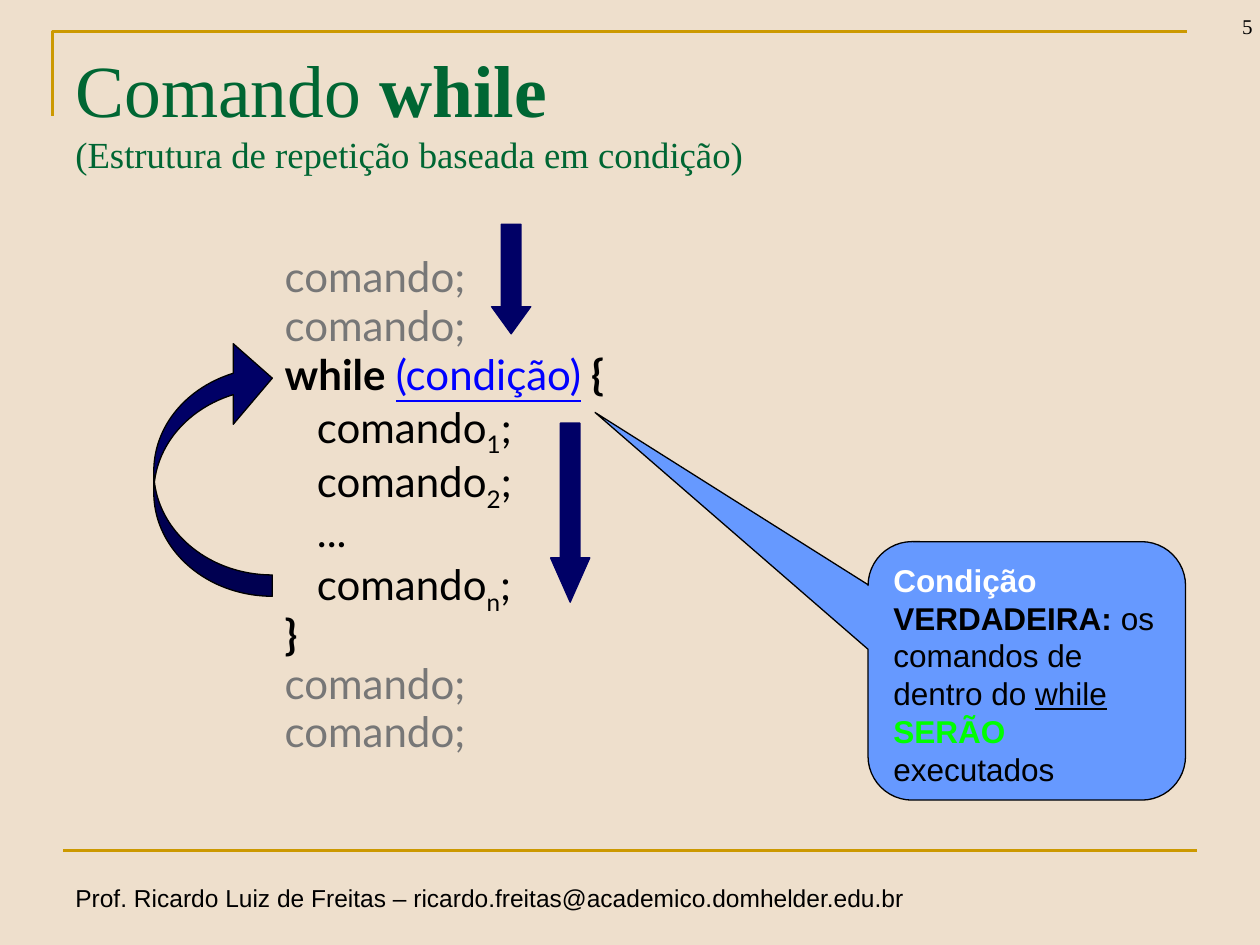
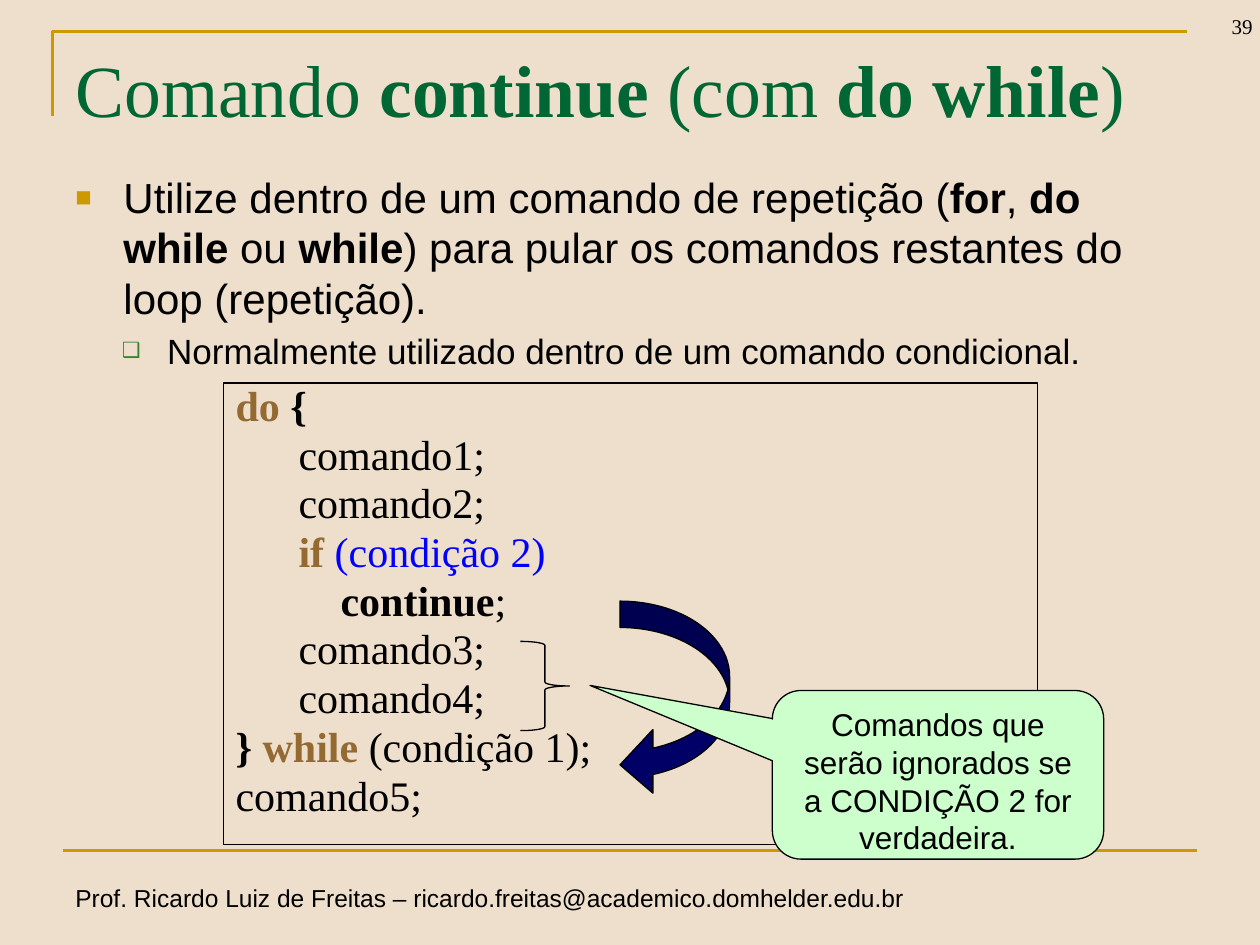
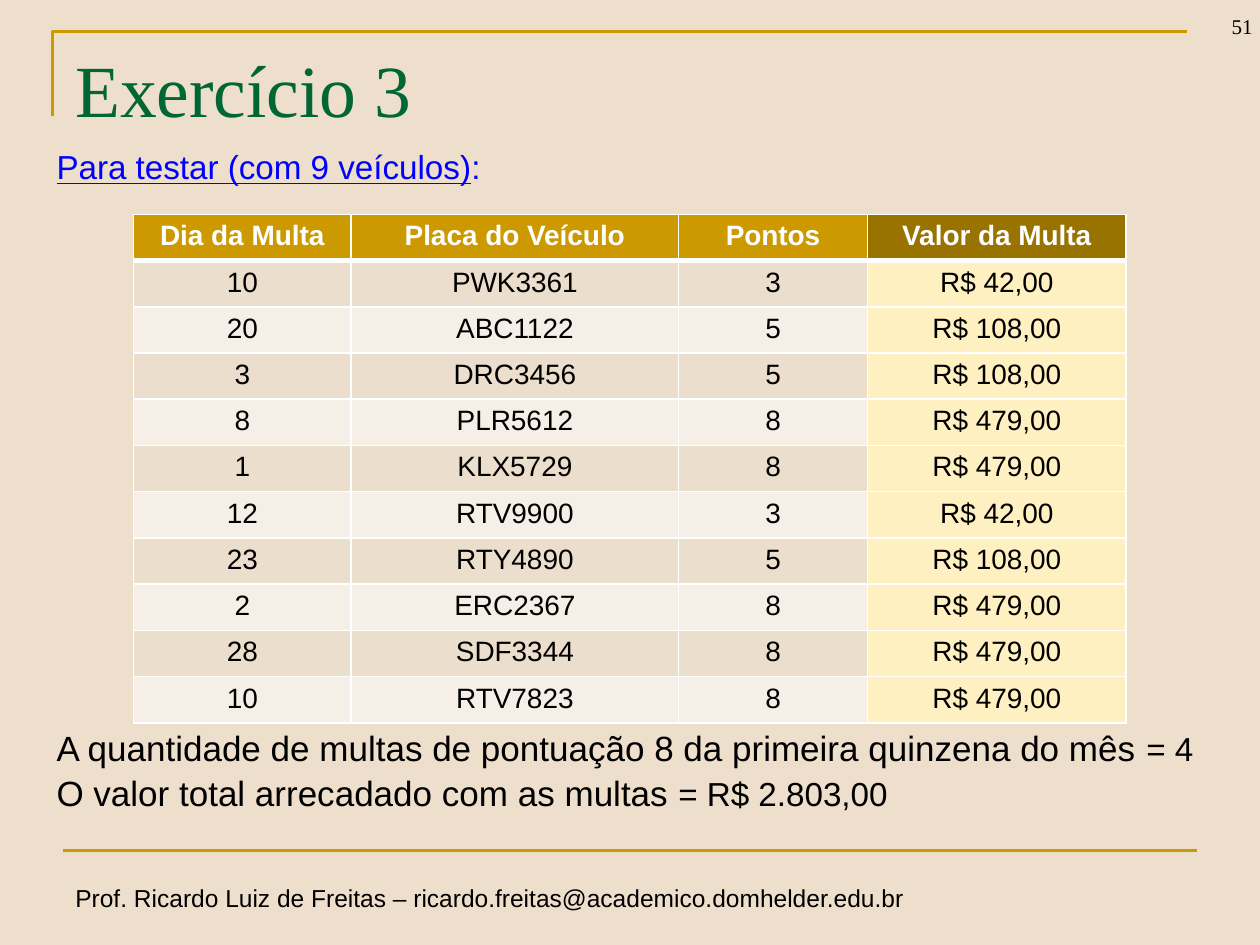
from lxml import etree
from pptx import Presentation, util as u
from pptx.dml.color import RGBColor
from pptx.enum import shapes, text
from pptx.oxml.ns import qn

BLACK, WHITE, GOLD, GREEN = "000000", "FFFFFF", "CC9900", "006633"
NAVY, BLUE, GRAY, BROWN = "000066", "0000FF", "777777", "946A32"
SANS, SERIF, CODE = "Arial", "Times New Roman", "Lato"
PLAIN = {}
BOLD = {"bold": True}
SUB = {"baseline": "-25000"}
MUTED = {"color": GRAY}
KEYWORD = {"bold": True, "color": BROWN}
LINK = {"underline": True, "color": BLUE}


def rgb(code):
    return RGBColor.from_string(code)


def write(frame, lines, font, size, color=BLACK, align=text.PP_ALIGN.LEFT,
          anchor=text.MSO_ANCHOR.TOP, spacing=1.0, before=0):
    frame.word_wrap = True
    frame.vertical_anchor = anchor
    for row, pieces in enumerate(lines):
        paragraph = frame.add_paragraph() if row else frame.paragraphs[0]
        paragraph.alignment = align
        paragraph.line_spacing = spacing
        if row:
            paragraph.space_before = u.Pt(before)
        for wording, style in pieces:
            if wording == "\n":
                paragraph.add_line_break()
                continue
            run = paragraph.add_run()
            run.text = wording
            run.font.name = font
            run.font.size = u.Pt(style.get("size", size))
            run.font.bold = style.get("bold", False)
            run.font.underline = style.get("underline", False)
            run.font.color.rgb = rgb(style.get("color", color))
            if "baseline" in style:
                run.font._element.set("baseline", style["baseline"])


deck = Presentation()
deck.slide_width, deck.slide_height = u.Cm(25.4), u.Cm(19.05)
background = deck.slide_master.background.fill
background.solid()
background.fore_color.rgb = rgb("EEDFCC")

headings = [
    ("5", [("Comando ", PLAIN), ("while", BOLD), ("\n", PLAIN),
           ("(Estrutura de repetição baseada em condição)", {"size": 21})]),
    ("39", [("Comando ", PLAIN), ("continue", BOLD), (" (com ", PLAIN),
            ("do while", BOLD), (")", PLAIN)]),
    ("51", [("Exercício 3", PLAIN)]),
]
for number, heading in headings:
    slide = deck.slides.add_slide(deck.slide_layouts[6])

    builder = slide.shapes.build_freeform(u.Cm(1.06), u.Cm(2.33))
    builder.add_line_segments([(u.Cm(1.06), u.Cm(0.64)), (u.Cm(23.92), u.Cm(0.64))], close=False)
    corner = builder.convert_to_shape()
    corner.shadow.inherit = False
    corner.fill.background()
    footer_rule = slide.shapes.add_connector(
        shapes.MSO_CONNECTOR.STRAIGHT, u.Cm(1.27), u.Cm(17.15), u.Cm(24.13), u.Cm(17.15))
    for rule in (corner, footer_rule):
        rule.line.color.rgb = rgb(GOLD)
        rule.line.width = u.Pt(1.5)
    etree.SubElement(footer_rule._element.spPr, qn("a:effectLst"))

    footer = slide.shapes.add_textbox(u.Cm(1.27), u.Cm(17.68), u.Cm(17.42), u.Cm(0.87))
    write(footer.text_frame,
          [[("Prof. Ricardo Luiz de Freitas – ricardo.freitas@academico.domhelder.edu.br", PLAIN)]],
          SANS, 14)
    page = slide.shapes.add_textbox(u.Cm(23.6), u.Cm(-0.36), u.Cm(1.9), u.Cm(1.27))
    write(page.text_frame, [[(number, PLAIN)]], SERIF, 12,
          align=text.PP_ALIGN.RIGHT, anchor=text.MSO_ANCHOR.BOTTOM)
    title = slide.shapes.add_textbox(u.Cm(1.27), u.Cm(0.76), u.Cm(22.86), u.Cm(3.17))
    write(title.text_frame, [heading], SERIF, 42, GREEN)

while_slide, continue_slide, exercise_slide = deck.slides

while_code = while_slide.shapes.add_textbox(u.Cm(5.49), u.Cm(5.13), u.Cm(18.59), u.Cm(10.31))
write(while_code.text_frame, [
    [("comando;", MUTED)],
    [("comando;", MUTED)],
    [("while ", BOLD), ("(condição)", LINK), (" {", BOLD)],
    [("   comando", PLAIN), ("1", SUB), (";", PLAIN)],
    [("   comando", PLAIN), ("2", SUB), (";", PLAIN)],
    [("   ...", PLAIN)],
    [("   comando", PLAIN), ("n", SUB), (";", PLAIN)],
    [("}", BOLD)],
    [("comando;", MUTED)],
    [("comando;", MUTED)],
], CODE, 24, spacing=0.8, before=4.8)

usage = continue_slide.shapes.add_textbox(u.Cm(1.27), u.Cm(3.33), u.Cm(22.86), u.Cm(6.48))
write(usage.text_frame, [
    [("Utilize dentro de um comando de repetição (", PLAIN), ("for", BOLD), (", ", PLAIN),
     ("do while", BOLD), (" ou ", PLAIN), ("while", BOLD),
     (") para pular os comandos restantes do loop (repetição).", PLAIN)],
    [("Normalmente utilizado dentro de um comando condicional.", {"size": 20})],
], SANS, 24, before=4)
bullets = [("■", GOLD, "65000", 0.97, 0.97), ("❑", "3B812F", "60000", 1.85, 0.91)]
for level, (mark, mark_color, scale, margin, hanging) in enumerate(bullets):
    paragraph = usage.text_frame.paragraphs[level]
    paragraph.level = level
    properties = paragraph._p.get_or_add_pPr()
    properties.set("marL", str(u.Cm(margin)))
    properties.set("indent", str(-u.Cm(hanging)))
    mark_fill = etree.SubElement(properties, qn("a:buClr"))
    etree.SubElement(mark_fill, qn("a:srgbClr"), val=mark_color)
    etree.SubElement(properties, qn("a:buSzPct"), val=scale)
    etree.SubElement(properties, qn("a:buFont"), typeface=SANS)
    etree.SubElement(properties, qn("a:buChar"), char=mark)

preset = shapes.MSO_SHAPE
figures = [
    (while_slide, preset.CURVED_LEFT_ARROW, (3.1, 6.81, 2.39, 5.21), (0.18, 0.68, 0.33), NAVY, BLACK),
    (while_slide, preset.DOWN_ARROW, (9.91, 4.52, 0.79, 2.21), (0.5, 0.69), NAVY, NAVY),
    (while_slide, preset.ROUNDED_RECTANGULAR_CALLOUT, (17.5, 10.92, 6.4, 5.21),
     (-1.36, -1, 0.17), "6699FF", BLACK),
    (while_slide, preset.DOWN_ARROW, (11.1, 8.53, 0.79, 3.61), (0.5, 1.13), NAVY, NAVY),
    (continue_slide, preset.RECTANGLE, (4.5, 7.72, 16.41, 9.3), (), None, BLACK),
    (continue_slide, preset.CURVED_RIGHT_ARROW, (12.5, 12.12, 2.21, 3.94), (0.24, 0.58, 0.3), NAVY, BLACK),
    (continue_slide, preset.RIGHT_BRACE, (10.49, 12.93, 0.99, 1.8), (0.08, 0.5), None, BLACK),
    (continue_slide, preset.ROUNDED_RECTANGULAR_CALLOUT, (15.57, 13.92, 6.68, 3.4),
     (-1.05, -0.53, 0.17), "CCFFCC", BLACK),
]
drawn = []
for slide, kind, place, adjustments, fill, outline in figures:
    figure = slide.shapes.add_shape(kind, *map(u.Cm, place))
    figure.shadow.inherit = False
    for index, adjustment in enumerate(adjustments):
        figure.adjustments[index] = adjustment
    if fill:
        figure.fill.solid()
        figure.fill.fore_color.rgb = rgb(fill)
    else:
        figure.fill.background()
    figure.line.color.rgb = rgb(outline)
    figure.line.width = u.Pt(0.75)
    drawn.append(figure)
repeat_arrow, _, true_callout, _, continue_code, skip_arrow, _, ignored_callout = drawn
repeat_arrow.rotation = 180
skip_arrow._element.spPr.xfrm.set("flipH", "1")

write(true_callout.text_frame, [[
    ("Condição", {"bold": True, "color": WHITE}), (" VERDADEIRA: ", BOLD),
    ("os comandos de dentro do ", PLAIN), ("while", {"underline": True}), (" ", PLAIN),
    ("SERÃO", {"bold": True, "color": "00FF00"}), (" executados", PLAIN),
]], SANS, 18)
write(ignored_callout.text_frame,
      [[("Comandos que serão ignorados se a CONDIÇÃO 2 for verdadeira.", PLAIN)]],
      SANS, 18, align=text.PP_ALIGN.CENTER)
write(continue_code.text_frame, [
    [("do ", KEYWORD), ("{", BOLD)],
    [("      comando1;", PLAIN)],
    [("      comando2;", PLAIN)],
    [("      ", PLAIN), ("if ", KEYWORD), ("(condição 2)", {"color": BLUE})],
    [("          ", PLAIN), ("continue", BOLD), (";", PLAIN)],
    [("      comando3;", PLAIN)],
    [("      comando4;", PLAIN)],
    [("} ", BOLD), ("while ", KEYWORD), ("(condição 1);", PLAIN)],
    [("comando5;", PLAIN)],
], SERIF, 24, spacing=0.8, before=4.8)

answers = exercise_slide.shapes.add_textbox(u.Cm(0.89), u.Cm(2.92), u.Cm(23.6), u.Cm(14))
write(answers.text_frame, [
    [("Para testar (com 9 veículos)", LINK), (":", {"color": BLUE})],
    [("A quantidade de multas de pontuação 8 da primeira quinzena do mês ", {"size": 20}),
     ("= 4", PLAIN)],
    [("O valor total arrecadado com as multas ", {"size": 20}), ("= R$ 2.803,00", PLAIN)],
], SANS, 19, spacing=0.9, before=4)
answers.text_frame.paragraphs[1].space_before = u.Pt(311)

fine_by_points = {"3": "R$ 42,00", "5": "R$ 108,00", "8": "R$ 479,00"}
fines = [
    ("10", "PWK3361", "3"), ("20", "ABC1122", "5"), ("3", "DRC3456", "5"),
    ("8", "PLR5612", "8"), ("1", "KLX5729", "8"), ("12", "RTV9900", "3"),
    ("23", "RTY4890", "5"), ("2", "ERC2367", "8"), ("28", "SDF3344", "8"),
    ("10", "RTV7823", "8"),
]
rows = [("Dia da Multa", "Placa do Veículo", "Pontos", "Valor da Multa")]
rows += [(*fine, fine_by_points[fine[2]]) for fine in fines]
widths = [4.39, 6.6, 3.81, 5.21]
fines_table = exercise_slide.shapes.add_table(
    len(rows), len(widths), u.Cm(2.69), u.Cm(4.32), u.Cm(sum(widths)), u.Cm(0.93 * len(rows))).table
fines_table.horz_banding = False
for column, width in zip(fines_table.columns, widths):
    column.width = u.Cm(width)
for r, values in enumerate(rows):
    for c, value in enumerate(values):
        cell = fines_table.cell(r, c)
        write(cell.text_frame, [[(value, PLAIN if r else BOLD)]], SANS, 16,
              BLACK if r else WHITE, text.PP_ALIGN.CENTER)
        for side in ("lnL", "lnR", "lnT", "lnB"):
            thick = (r, side) in [(0, "lnB"), (1, "lnT")]
            border = etree.SubElement(cell._tc.get_or_add_tcPr(), qn(f"a:{side}"),
                                      w=str(u.Pt(3 if thick else 1)))
            border_fill = etree.SubElement(border, qn("a:solidFill"))
            etree.SubElement(border_fill, qn("a:srgbClr"), val=WHITE)
        is_value = c == len(widths) - 1
        if r == 0:
            shade = "997300" if is_value else GOLD
        elif is_value:
            shade = "FFF0C2"
        else:
            shade = "ECDECC" if r % 2 else "F6EFE7"
        cell.fill.solid()
        cell.fill.fore_color.rgb = rgb(shade)

deck.save("out.pptx")
